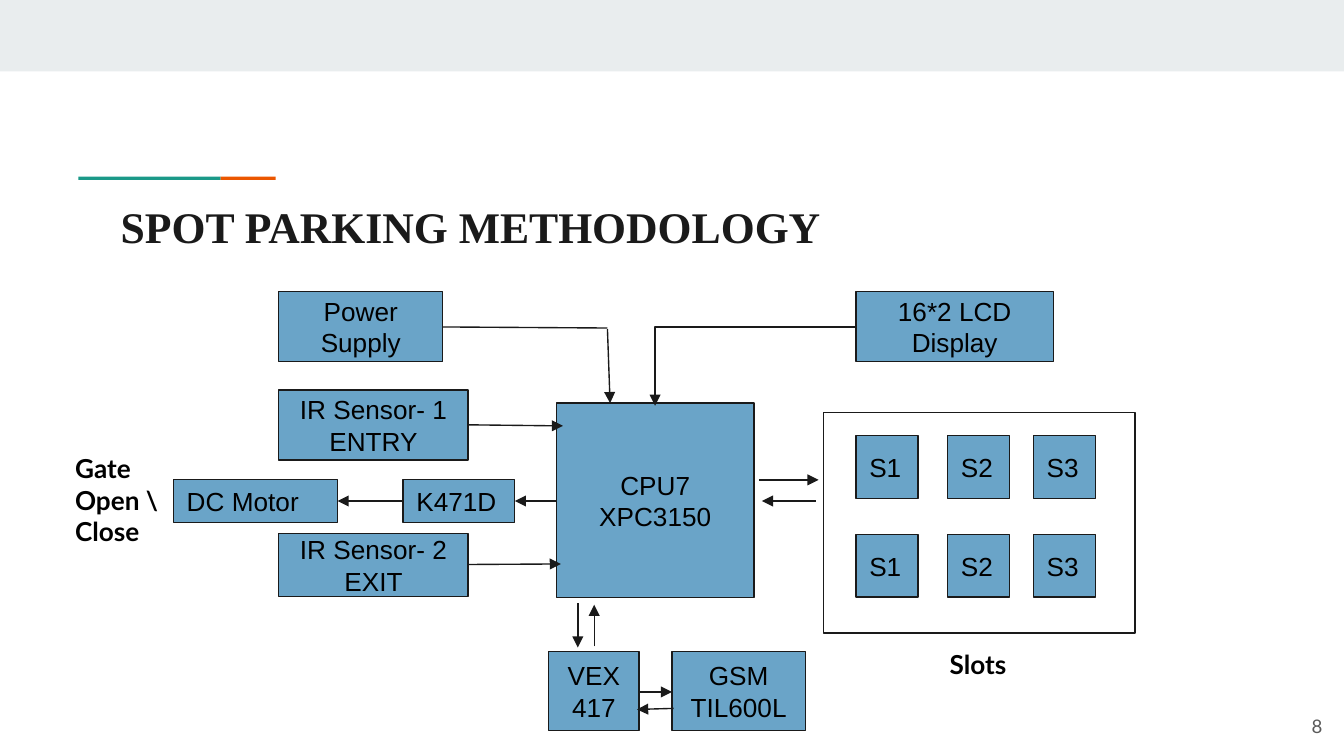
import pptx
import pptx.util
import pptx.dml.color
import pptx.oxml.ns
from lxml import etree
from pptx.enum.shapes import MSO_CONNECTOR, MSO_SHAPE
from pptx.enum.text import MSO_ANCHOR, PP_ALIGN

Cm, Pt, qn = pptx.util.Cm, pptx.util.Pt, pptx.oxml.ns.qn
LEFT, CENTER, RIGHT = PP_ALIGN.LEFT, PP_ALIGN.CENTER, PP_ALIGN.RIGHT
TOP, MIDDLE, BOTTOM = MSO_ANCHOR.TOP, MSO_ANCHOR.MIDDLE, MSO_ANCHOR.BOTTOM
INK, BLUE = "1A1A1A", "6AA4C8"

# All lengths are centimetres: left, top, width, height.
HEADER = [
    ((0, 0, 25.4, 1.35), "E9EDEE"),
    ((1.48, 3.34, 2.69, 0.06), "1A9988"),
    ((4.17, 3.34, 1.04, 0.06), "EB5600"),
]
TITLE = ("SPOT PARKING METHODOLOGY", (2.03, 3.51, 21.36, 1.5))
BLOCKS = [
    ("CPU7\nXPC3150", (10.52, 7.62, 3.73, 3.68), CENTER),
    ("IR Sensor- 1\nENTRY", (5.27, 7.37, 3.58, 1.33), CENTER),
    ("DC Motor", (3.28, 9.06, 3.1, 0.82), LEFT),
    ("K471D", (7.62, 9.06, 2.11, 0.82), LEFT),
    ("IR Sensor- 2\nEXIT", (5.27, 10.08, 3.58, 1.2), CENTER),
    ("Power Supply", (5.27, 5.51, 3.1, 1.33), CENTER),
    ("16*2 LCD\nDisplay", (16.18, 5.51, 3.73, 1.33), CENTER),
    ("VEX\n417", (10.37, 12.32, 1.71, 1.49), CENTER),
    ("GSM\nTIL600L", (12.7, 12.32, 2.52, 1.49), CENTER),
]
SLOT_COLUMNS = [("S1", 16.18), ("S2", 17.91), ("S3", 19.53)]
SLOT_ROWS = [8.23, 10.1]
SLOT_SIZE = (1.17, 1.19)
SLOT_FRAME = (15.57, 7.8, 5.88, 4.17)

# Start x, start y, end x, end y.
POWER_LINE = (8.36, 6.18, 11.48, 6.2)
DISPLAY_ELBOW = (16.18, 6.18, 12.38, 7.62)
ARROWS = [
    (10.52, 9.47, 9.73, 9.47),    # controller to motor driver
    (7.62, 9.47, 6.38, 9.47),     # motor driver to motor
    (8.85, 10.67, 10.6, 10.66),   # exit sensor to controller
    (12.38, 7.14, 12.38, 7.67),   # display to controller
    (11.48, 6.22, 11.53, 7.62),   # power to controller
    (8.85, 8.03, 10.64, 8.05),    # entry sensor to controller
    (10.92, 11.4, 10.92, 12.24),  # controller and serial converter
    (11.23, 12.22, 11.23, 11.43),
    (12.07, 13.08, 12.7, 13.08),  # serial converter and GSM module
    (12.73, 13.39, 12.04, 13.41),
    (14.35, 9.07, 15.47, 9.07),   # controller and slots
    (15.42, 9.47, 14.4, 9.47),
]
# Text, box, size, colour, bold, alignment, anchor.
CAPTIONS = [
    ("Gate\nOpen \\\nClose", (1.17, 8.31, 2.11, 2.31), 14, "000000", True, LEFT, TOP),
    ("Slots", (17.7, 12.01, 2.51, 1.12), 14, "000000", True, LEFT, TOP),
    ("8", (23.72, 13.18, 1.52, 1.09), 10, "595959", False, RIGHT, MIDDLE),
]


def cm(lengths):
    return [Cm(length) for length in lengths]


def rgb(value):
    return pptx.dml.color.RGBColor.from_string(value)


def write(shape, text, font, size, color, bold=False, align=LEFT, anchor=MIDDLE):
    frame = shape.text_frame
    frame.text = text
    frame.word_wrap = True
    frame.vertical_anchor = anchor
    frame.margin_left = frame.margin_right = Cm(0.25)
    frame.margin_top = frame.margin_bottom = Cm(0.25)
    for paragraph in frame.paragraphs:
        paragraph.alignment = align
        for run in paragraph.runs:
            run.font.name = font
            run.font.size = Pt(size)
            run.font.bold = bold
            run.font.color.rgb = rgb(color)


def add_box(slide, box, fill=None, line=None):
    shape = slide.shapes.add_shape(MSO_SHAPE.RECTANGLE, *cm(box))
    shape.shadow.inherit = False
    if fill:
        shape.fill.solid()
        shape.fill.fore_color.rgb = rgb(fill)
    else:
        shape.fill.background()
    if line:
        shape.line.color.rgb = rgb(line)
        shape.line.width = Pt(0.75)
    else:
        shape.line.fill.background()
    return shape


def add_block(slide, label, box, align):
    write(add_box(slide, box, BLUE, INK), label, "Arial", 14, "000000", align=align)


def add_line(slide, ends, arrow=False, kind=MSO_CONNECTOR.STRAIGHT):
    connector = slide.shapes.add_connector(kind, *cm(ends))
    connector.line.color.rgb = rgb(INK)
    connector.line.width = Pt(0.75)
    properties = connector.element.spPr
    if arrow:
        etree.SubElement(properties.find(qn("a:ln")), qn("a:tailEnd"), type="triangle")
    etree.SubElement(properties, qn("a:effectLst"))
    return connector


def main():
    deck = pptx.Presentation()
    deck.slide_width, deck.slide_height = cm((25.4, 14.29))
    slide = deck.slides.add_slide(deck.slide_layouts[5])

    for box, color in HEADER:
        add_box(slide, box, color)

    text, box = TITLE
    title = slide.shapes.title
    title.left, title.top, title.width, title.height = cm(box)
    write(title, text, "Times New Roman", 23.4, INK, bold=True, anchor=BOTTOM)

    for label, box, align in BLOCKS:
        add_block(slide, label, box, align)
    for top in SLOT_ROWS:
        for label, left in SLOT_COLUMNS:
            add_block(slide, label, (left, top, *SLOT_SIZE), LEFT)
    add_box(slide, SLOT_FRAME, line=INK)

    add_line(slide, POWER_LINE)
    elbow = add_line(slide, DISPLAY_ELBOW, kind=MSO_CONNECTOR.ELBOW)
    # A single corner instead of the default two.
    elbow.element.spPr.find(qn("a:prstGeom")).set("prst", "bentConnector2")
    for ends in ARROWS:
        add_line(slide, ends, arrow=True)

    for text, box, size, color, bold, align, anchor in CAPTIONS:
        caption = slide.shapes.add_textbox(*cm(box))
        write(caption, text, "Lato", size, color, bold, align, anchor)

    deck.save("out.pptx")


if __name__ == "__main__":
    main()
